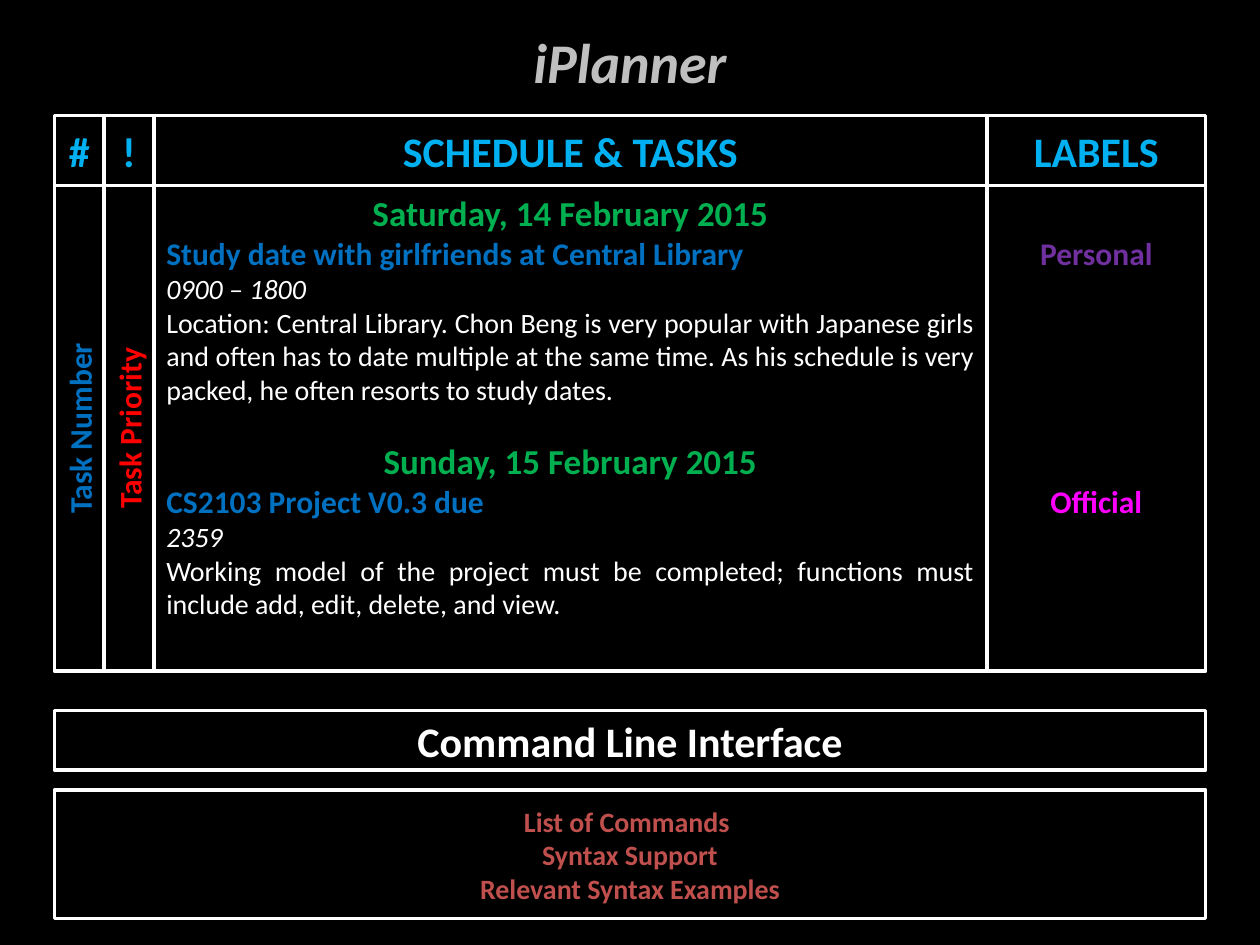
import pptx
import pptx.util
import pptx.dml.color
import pptx.enum.shapes
import pptx.enum.text

Pt = pptx.util.Pt
ALIGN = pptx.enum.text.PP_ALIGN
ANCHOR = pptx.enum.text.MSO_ANCHOR


def rgb(value):
    return pptx.dml.color.RGBColor.from_string(value)


def add_text(tf, text, size=16, color="FFFFFF", bold=False, italic=False,
             align=ALIGN.CENTER, before=0):
    p = tf.paragraphs[0]
    if p.runs:
        p = tf.add_paragraph()
    p.alignment = align
    p.space_before = Pt(before)
    r = p.add_run()
    r.text = text
    r.font.name = "Calibri"
    r.font.size = Pt(size)
    r.font.bold = bold
    r.font.italic = italic
    r.font.color.rgb = rgb(color)


prs = pptx.Presentation()
prs.slide_width, prs.slide_height = Pt(720), Pt(540)
s = prs.slides.add_slide(prs.slide_layouts[5])
s.background.fill.solid()
s.background.fill.fore_color.rgb = rgb("000000")

left, right = 31, 689
full = right - left
header_top, body_top, body_bottom = 66, 106, 383.5
header_h, body_h = body_top - header_top, body_bottom - body_top
columns = {"#": (31, 59.5), "!": (59.5, 88),
           "SCHEDULE & TASKS": (88, 564), "LABELS": (564, 689)}

title = s.shapes.title
title.left, title.top, title.width, title.height = Pt(left), Pt(15), Pt(full), Pt(40)
title.text_frame.auto_size = pptx.enum.text.MSO_AUTO_SIZE.NONE
title.text_frame.vertical_anchor = ANCHOR.MIDDLE
add_text(title.text_frame, "iPlanner", size=32, color="BFBFBF", bold=True, italic=True)

boxes = {}
for name, (x1, x2) in columns.items():
    boxes[name, "body"] = (x1, body_top, x2 - x1, body_h)
    boxes[name, "header"] = (x1, header_top, x2 - x1, header_h)
boxes["interface"] = (left, 406, full, 34)
boxes["commands"] = (left, 451.5, full, 73.5)

frames = {}
for key, (x, y, w, h) in boxes.items():
    sp = s.shapes.add_shape(pptx.enum.shapes.MSO_SHAPE.RECTANGLE, Pt(x), Pt(y), Pt(w), Pt(h))
    sp.shadow.inherit = False
    sp.fill.solid()
    sp.fill.fore_color.rgb = rgb("000000")
    sp.line.color.rgb = rgb("FFFFFF")
    sp.line.width = Pt(2)
    tf = sp.text_frame
    tf.word_wrap = True
    tf.vertical_anchor = ANCHOR.MIDDLE
    frames[key] = tf

for name in columns:
    add_text(frames[name, "header"], name, size=24, color="00B0F0", bold=True)

for name, text, color in [("#", "Task Number", "0070C0"), ("!", "Task Priority", "FF0000")]:
    tf = frames[name, "body"]
    tf._txBody.bodyPr.set("vert", "vert270")
    add_text(tf, text, size=18, color=color, bold=True)

tasks = [
    ("Saturday, 14 February 2015", "Study date with girlfriends at Central Library", "0900 – 1800",
     "Location: Central Library. Chon Beng is very popular with Japanese girls and often has to "
     "date multiple at the same time. As his schedule is very packed, he often resorts to study dates.",
     0),
    ("Sunday, 15 February 2015", "CS2103 Project V0.3 due", "2359",
     "Working model of the project must be completed; functions must include add, edit, delete, "
     "and view.", 19.5),
]
tf = frames["SCHEDULE & TASKS", "body"]
tf.vertical_anchor = ANCHOR.TOP
for day, task, time, details, gap in tasks:
    add_text(tf, day, size=20, color="00B050", bold=True, before=gap)
    add_text(tf, task, size=18, color="0070C0", bold=True, align=ALIGN.JUSTIFY)
    add_text(tf, time, italic=True, align=ALIGN.JUSTIFY)
    add_text(tf, details, align=ALIGN.JUSTIFY)

tf = frames["LABELS", "body"]
tf.vertical_anchor = ANCHOR.TOP
tf.margin_top = Pt(28)
add_text(tf, "Personal", size=18, color="7030A0", bold=True)
add_text(tf, "Official", size=18, color="FF00FF", bold=True, before=120)

add_text(frames["interface"], "Command Line Interface", size=24, bold=True)
for text in ["List of Commands ", "Syntax Support", "Relevant Syntax Examples"]:
    add_text(frames["commands"], text, color="C0504D", bold=True)

prs.save("out.pptx")
